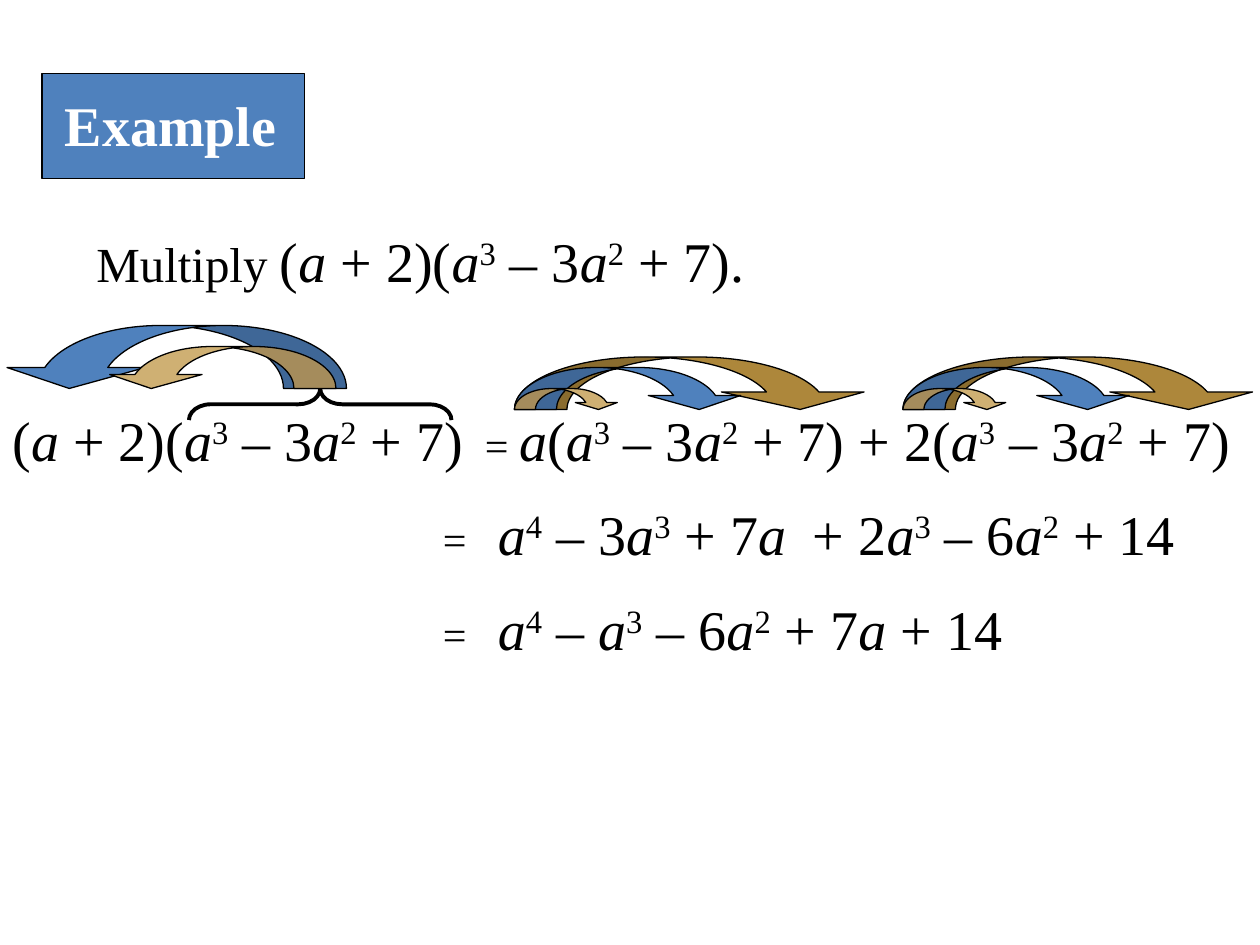
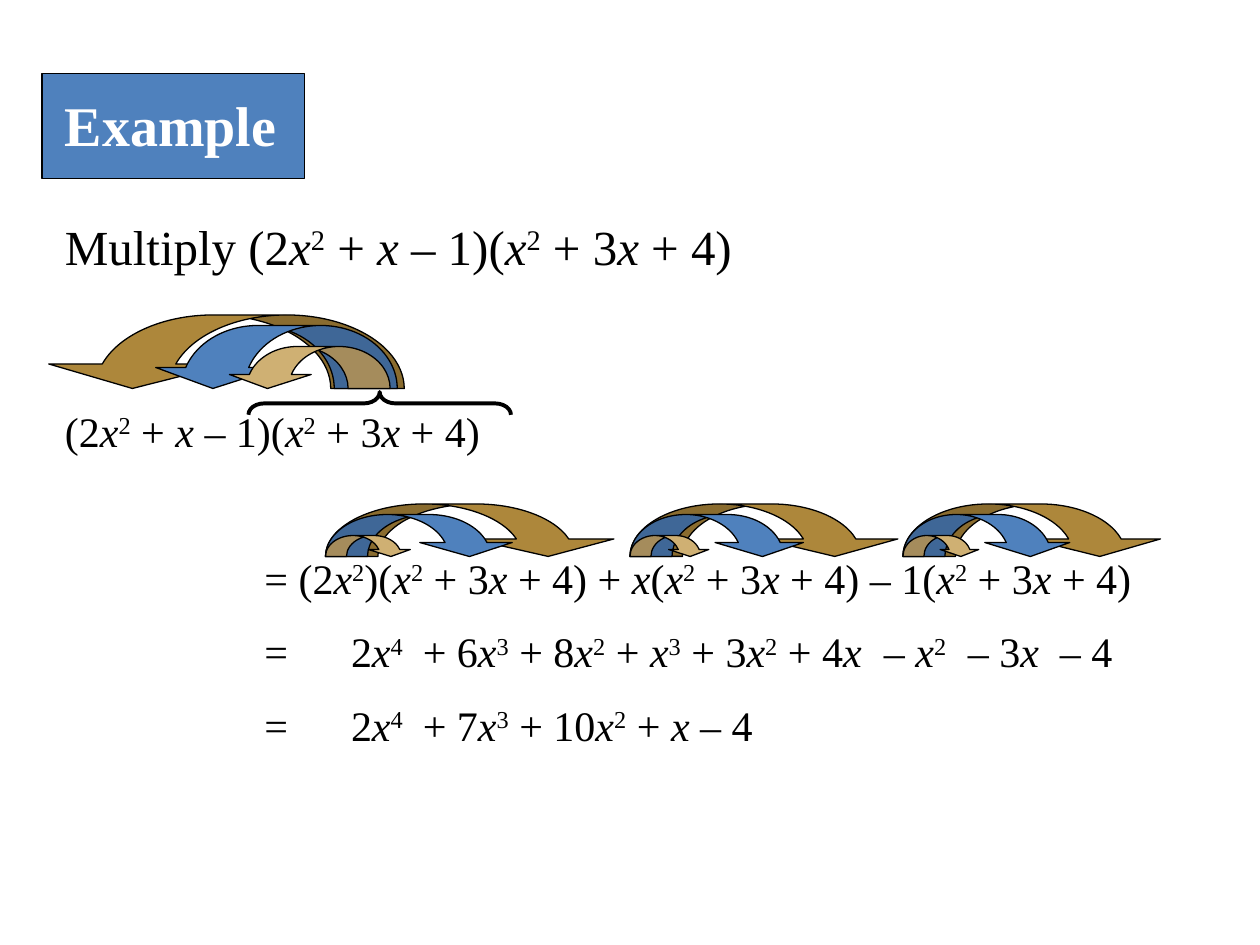
from pptx import Presentation
from pptx import util as u
from pptx.dml.color import RGBColor
from pptx.enum import shapes, text
from pptx.oxml import ns
from lxml import etree

COLORS = {"blue": "4F81BD", "gold": "AD873B", "tan": "CFB073",
          "black": "000000", "white": "FFFFFF"}
FONT = "Times New Roman"
MSO = shapes.MSO_SHAPE

CUBIC = "|a|^3| – 3|a|^2| + 7)"
QUADRATIC = "|x|^2| + 3|x| + 4)"


def rgb(name):
    return RGBColor.from_string(COLORS[name])


def add_shape(s, kind, box, fill=None, line=0.75):
    sp = s.shapes.add_shape(kind, *(u.Pt(v) for v in box))
    sp.shadow.inherit = False
    if fill:
        sp.fill.solid()
        sp.fill.fore_color.rgb = rgb(fill)
    else:
        sp.fill.background()
    sp.line.color.rgb = rgb("black")
    sp.line.width = u.Pt(line)
    return sp


def add_tabs(p, tabs):
    pPr = p._p.get_or_add_pPr()
    tab_list = etree.SubElement(pPr, ns.qn("a:tabLst"))
    for pos in tabs:
        etree.SubElement(tab_list, ns.qn("a:tab"), pos=str(u.Pt(pos)), algn="l")


def add_text(s, content, box, size=24, lead="", lead_size=None,
             color="black", bold=False, tabs=()):
    tf = s.shapes.add_textbox(*(u.Pt(v) for v in box)).text_frame
    tf.word_wrap = True
    tf.vertical_anchor = text.MSO_ANCHOR.TOP
    p = tf.paragraphs[0]
    if tabs:
        add_tabs(p, tabs)
    pieces = [(lead, lead_size)] + [(t, size) for t in content.split("|")]
    for piece, piece_size in pieces:
        if not piece:
            continue
        r = p.add_run()
        r.text = piece.lstrip("^")
        r.font.name = FONT
        r.font.size = u.Pt(piece_size)
        r.font.bold = bold
        r.font.italic = piece in ("a", "x")
        r.font.color.rgb = rgb(color)
        if piece.startswith("^"):
            r.font._element.set("baseline", "30000")


def add_arrow(s, left, bottom, width, height, fill, bend, flip=False):
    sp = add_shape(s, MSO.CURVED_DOWN_ARROW,
                   (left, bottom - height, width, height), fill)
    for i, value in enumerate((bend, 2 * bend, 0.333)):
        sp.adjustments[i] = value
    if flip:
        sp._element.spPr.get_or_add_xfrm().set("flipH", "1")


def add_term_fan(s, left, bottom, width):
    for share, height, fill, bend in ((1, 30, "gold", 1.36),
                                      (0.647, 24, "blue", 1.1),
                                      (0.294, 12, "tan", 1)):
        add_arrow(s, left, bottom, width * share, height, fill, bend)


def add_factor_fan(s, bottom, arrows):
    for left, width, height, fill, bend in arrows:
        add_arrow(s, left, bottom, width, height, fill, bend, flip=True)


def add_brace(s, left, top, width, height):
    sp = add_shape(s, MSO.RIGHT_BRACE,
                   (left + (width - height) / 2, top + (height - width) / 2,
                    height, width), line=2.25)
    sp.rotation = 270
    sp.adjustments[0] = 0.694
    sp.adjustments[1] = 0.5


def add_title(s, left, top, width, height):
    add_shape(s, MSO.RECTANGLE, (left, top, width, height), "blue")
    add_text(s, "Example", (left + 6, top + 6, width - 12, height - 15),
             size=32, color="white", bold=True)


def add_example(prs):
    s = prs.slides.add_slide(prs.slide_layouts[6])
    add_title(s, 24, 42, 150, 60)
    return s


def build_binomial_slide(prs):
    s = add_example(prs)
    add_text(s, "(|a| + 2)(" + CUBIC + ".", (48, 126, 576, 45), size=32,
             lead="Multiply ", lead_size=28)
    add_text(s, "(|a| + 2)(" + CUBIC, (0, 228, 276, 45), size=32)
    add_text(s, "a|(" + CUBIC + " + 2(" + CUBIC, (270, 228, 450, 45), size=32,
             lead="= ", lead_size=24)
    for left in (294, 516):
        add_term_fan(s, left, 234, 204)
    results = (("a|^4| – 3|a|^3| + 7|a|\t+ 2|a|^3| – 6|a|^2| + 14", (31.5, 211.5)),
               ("a|^4| – |a|^3| – 6|a|^2| + 7|a| + 14", (31.5,)))
    for row, (result, tabs) in enumerate(results):
        add_text(s, result, (246, 282 + 54 * row, 462, 45), size=32,
                 lead="=\t", lead_size=24, tabs=tabs)
    add_factor_fan(s, 222, ((0, 198, 36, "blue", 1.1),))
    add_brace(s, 108, 222, 150, 18)
    add_factor_fan(s, 222, ((60, 132, 24, "tan", 1.1),))


def build_trinomial_slide(prs):
    s = add_example(prs)
    product = "(2|x|^2| + |x| – 1)(" + QUADRATIC
    add_text(s, "Multiply " + product, (30, 120, 408, 48), size=28)
    add_text(s, product, (30, 228, 312, 36))
    add_text(s, "= (2|x|^2|)(" + QUADRATIC + " + |x|(" + QUADRATIC
             + " – 1(" + QUADRATIC, (144, 312, 522, 36))
    add_factor_fan(s, 222, ((24, 207, 42, "gold", 1.229),
                            (86.5, 140.5, 36, "blue", 1.1)))
    add_brace(s, 142, 224, 150, 13)
    add_factor_fan(s, 222, ((129.5, 93.5, 24, "tan", 1.1),))
    for left, width in ((186, 168), (360, 156), (516, 150)):
        add_term_fan(s, left, 318, width)
    add_text(s, "=\t2|x|^4|\t+ 6|x|^3| + 8|x|^2| + |x|^3| + 3|x|^2| + 4|x|"
             "\t– |x|^2|\t– 3|x|\t– 4", (144, 354, 522, 36),
             tabs=(49.5, 90.5, 354, 402, 454.5))
    add_text(s, "=\t2|x|^4|\t+ 7|x|^3| + 10|x|^2| + |x| – 4",
             (144, 396, 342, 36), tabs=(49.5, 90.5))


def main():
    prs = Presentation()
    prs.slide_width, prs.slide_height = u.Pt(720), u.Pt(540)
    build_binomial_slide(prs)
    build_trinomial_slide(prs)
    prs.save("out.pptx")


if __name__ == "__main__":
    main()
